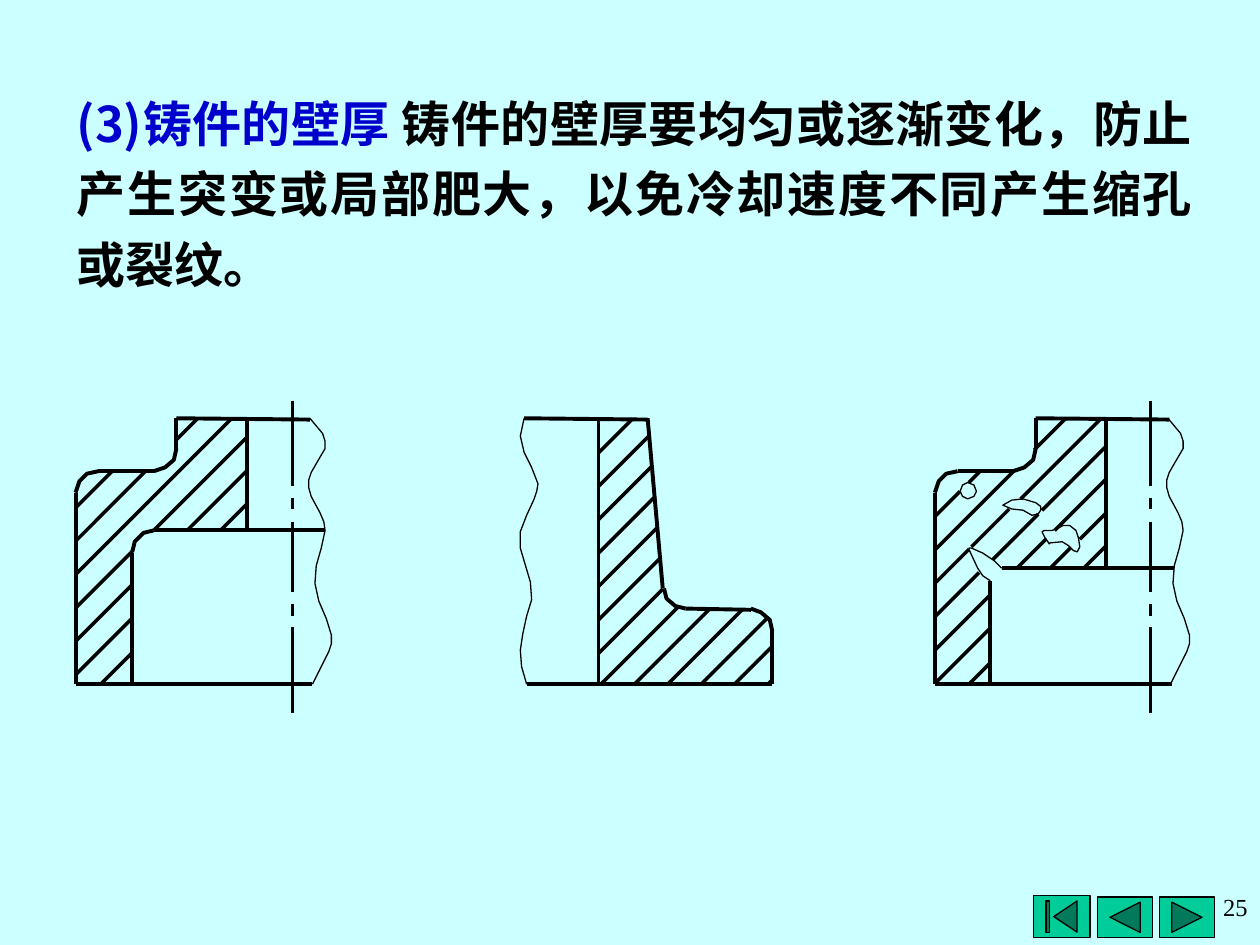
from lxml.etree import SubElement
from pptx import Presentation
from pptx.dml.color import RGBColor
from pptx.enum.shapes import MSO_CONNECTOR as Connector, MSO_SHAPE as Shape
from pptx.enum.text import PP_ALIGN as Align
from pptx.oxml.ns import qn
from pptx.util import Inches, Pt

BLACK = "000000"
BLUE = "0000CC"
CJK = "Noto Sans CJK SC"
LATIN = "Times New Roman"
THICK, THIN = 2.25, 0
PITCH = 0.265
BOTTOM = 5.43
RIGHT_SHIFT = 6.82
AXIS_SHIFT = 6.81


def color(value):
    return RGBColor.from_string(value)


class Drawing:
    def __init__(self, page):
        self.page = page
        self.shapes = page.shapes

    def background(self, fill):
        self.page.background.fill.solid()
        self.page.background.fill.fore_color.rgb = color(fill)

    def button(self, kind, left, top, width, height):
        shape = self.shapes.add_shape(
            kind, Inches(left), Inches(top), Inches(width), Inches(height))
        shape.shadow.inherit = False
        shape.fill.solid()
        shape.fill.fore_color.rgb = color("00CC99")
        self.stroke(shape, 0.75)

    def stroke(self, shape, weight):
        shape.line.color.rgb = color(BLACK)
        shape.line.width = Pt(weight)

    def line(self, x1, y1, x2, y2, weight=THICK, shift=0):
        connector = self.shapes.add_connector(
            Connector.STRAIGHT, Inches(x1 + shift), Inches(y1),
            Inches(x2 + shift), Inches(y2))
        self.stroke(connector, weight)
        SubElement(connector._element.spPr, qn("a:effectLst"))

    def hatch(self, x, y, run):
        self.line(x, y, x + run, y - run, THIN)

    def curve(self, points, weight=THIN, shift=0, close=False):
        corners = [(Inches(x + shift), Inches(y)) for x, y in points]
        builder = self.shapes.build_freeform(*corners[0])
        builder.add_line_segments(corners[1:], close=close)
        shape = builder.convert_to_shape()
        shape.shadow.inherit = False
        shape.fill.background()
        self.stroke(shape, weight)

    def text(self, left, top, width, height, runs, size, align, bold=False, pitch=None):
        box = self.shapes.add_textbox(
            Inches(left), Inches(top), Inches(width), Inches(height))
        box.text_frame.word_wrap = True
        para = box.text_frame.paragraphs[0]
        para.alignment = align
        if pitch:
            para.line_spacing = Pt(pitch)
        for words, font, ink in runs:
            span = para.add_run()
            span.text = words
            span.font.size = Pt(size)
            span.font.bold = bold
            span.font.name = font
            span.font.color.rgb = color(ink)
            SubElement(span.font._element, qn("a:ea"), typeface=CJK)


def draw_stepped_outline(drawing, shift, axis_shift):
    for ends in [(1.4, 3.32, 1.4, 3.56), (0.6, 3.91, 0.6, BOTTOM),
                 (0.78, 3.74, 1.22, 3.74), (1.4, 3.32, 2.46, 3.33),
                 (0.6, BOTTOM, 2.48, BOTTOM)]:
        drawing.line(*ends, shift=shift)
    for arc in [[(0.78, 3.74), (0.69, 3.76), (0.63, 3.82), (0.6, 3.91)],
                [(1.22, 3.74), (1.31, 3.71), (1.38, 3.65), (1.4, 3.56)]]:
        drawing.curve(arc, THICK, shift)
    for top, bottom in [(3.18, 3.86), (3.95, 4.04), (4.14, 4.7),
                        (4.79, 4.89), (4.98, 5.66)]:
        drawing.line(2.32, top, 2.32, bottom, THIN, axis_shift)
    break_edge = [
        (2.46, 3.32), (2.56, 3.44), (2.58, 3.5), (2.58, 3.56), (2.51, 3.68),
        (2.47, 3.75), (2.45, 3.81), (2.45, 3.87), (2.47, 3.94), (2.54, 4.07),
        (2.57, 4.14), (2.58, 4.21), (2.55, 4.35), (2.51, 4.49), (2.5, 4.63),
        (2.53, 4.77), (2.59, 4.91), (2.63, 5.04), (2.63, 5.11), (2.61, 5.17),
        (2.48, BOTTOM)]
    drawing.curve(break_edge, shift=axis_shift)


def draw_even_wall(drawing):
    draw_stepped_outline(drawing, 0, 0)
    drawing.line(1.96, 3.32, 1.96, 4.21)
    drawing.line(1.05, 4.39, 1.05, BOTTOM)
    drawing.line(1.22, 4.21, 2.58, 4.21)
    drawing.curve([(1.22, 4.21), (1.14, 4.23), (1.07, 4.3), (1.05, 4.38)], THICK)
    for row, run in enumerate([0.29, 0.56, 1.23, 0.45, 0.45, 0.45]):
        drawing.hatch(0.6, 4.03 + row * PITCH, run)
    for column, run in enumerate([0.74, 0.48, 0.22]):
        drawing.hatch(1.22 + column * PITCH, 4.21, run)
    drawing.hatch(1.4, 3.49, 0.17)
    drawing.hatch(0.8, BOTTOM, 0.25)


def draw_tapered_wall(drawing):
    for ends in [(4.18, BOTTOM, 6.13, BOTTOM), (5.44, 4.83, 5.96, 4.84),
                 (4.16, 3.32, 5.14, 3.33), (4.75, 3.32, 4.75, BOTTOM),
                 (5.14, 3.32, 5.26, 4.67), (6.13, 5.01, 6.13, BOTTOM)]:
        drawing.line(*ends)
    for arc in [[(5.27, 4.67), (5.29, 4.75), (5.36, 4.81), (5.44, 4.83)],
                [(6.13, 5.01), (6.11, 4.92), (6.04, 4.86), (5.96, 4.83)]]:
        drawing.curve(arc, THICK)
    for row, run in enumerate([0.01, 0.27, 0.4, 0.42, 0.45, 0.47, 0.49, 0.51]):
        drawing.hatch(4.75, 3.33 + row * PITCH, run)
    for column, run in enumerate([0.61, 0.6, 0.59, 0.52, 0.3, 0.03]):
        drawing.hatch(4.77 + column * PITCH, BOTTOM, run)
    drawing.curve([
        (4.16, 3.32), (4.13, 3.46), (4.16, 3.59), (4.22, 3.71), (4.27, 3.84),
        (4.26, 3.9), (4.24, 3.96), (4.18, 4.09), (4.13, 4.22), (4.13, 4.35),
        (4.21, 4.62), (4.22, 4.76), (4.18, 4.89), (4.15, 5.03), (4.13, 5.16),
        (4.14, 5.29), (4.18, BOTTOM)])


def draw_defective_wall(drawing):
    draw_stepped_outline(drawing, RIGHT_SHIFT, AXIS_SHIFT)
    drawing.line(8.78, 3.32, 8.78, 4.5)
    drawing.line(7.86, 4.61, 7.86, BOTTOM)
    drawing.line(7.95, 4.51, 9.32, 4.51)
    for row, run in enumerate([0.2, 0.63, 0.27, 0.35, 0.44, 0.44]):
        drawing.hatch(7.42, 4.1 + row * PITCH, run)
    for column, run in enumerate([0.22, 0.15, 0.17]):
        drawing.hatch(8.08 + column * PITCH, 4.5, run)
    for x, y, run in [(7.69, 3.83, 0.09), (8.21, 3.57, 0.25), (8.1, 3.96, 0.63),
                      (7.71, 4.34, 0.3), (8.27, 4.05, 0.51), (7.88, 4.44, 0.36),
                      (8.37, 4.21, 0.41), (8.57, 4.28, 0.21), (7.69, BOTTOM, 0.17)]:
        drawing.hatch(x, y, run)
    round_pore = [(7.75, 3.9), (7.73, 3.85), (7.68, 3.83), (7.64, 3.85),
                  (7.62, 3.9), (7.64, 3.94), (7.68, 3.96), (7.73, 3.94)]
    long_pore = [(7.96, 4.01), (8.03, 3.97), (8.12, 3.96), (8.22, 3.99),
                 (8.26, 4.02), (8.26, 4.05), (8.24, 4.08), (8.19, 4.09),
                 (8.12, 4.05), (8.03, 4.04)]
    for pore in (round_pore, long_pore):
        drawing.curve(pore, close=True)
    bent_pore = [(8.32, 4.31), (8.43, 4.3), (8.48, 4.33), (8.52, 4.37),
                 (8.55, 4.38), (8.57, 4.34), (8.56, 4.27), (8.54, 4.21),
                 (8.49, 4.17), (8.44, 4.17), (8.4, 4.19), (8.35, 4.21),
                 (8.29, 4.21), (8.27, 4.22), (8.29, 4.26), (8.33, 4.32)]
    crack = [(7.86, 4.61), (7.8, 4.57), (7.76, 4.51), (7.69, 4.36), (7.69, 4.35),
             (7.71, 4.35), (7.8, 4.39), (7.89, 4.45), (7.95, 4.51)]
    for defect in (bent_pore, crack):
        drawing.curve(defect)


def main():
    deck = Presentation()
    deck.slide_width, deck.slide_height = Inches(10), Inches(7.5)
    drawing = Drawing(deck.slides.add_slide(deck.slide_layouts[6]))
    drawing.background("CCFFFF")
    drawing.button(Shape.ACTION_BUTTON_FORWARD_OR_NEXT, 9.2, 7.12, 0.44, 0.32)
    drawing.button(Shape.ACTION_BUTTON_BACK_OR_PREVIOUS, 8.71, 7.12, 0.44, 0.32)
    drawing.button(Shape.ACTION_BUTTON_BEGINNING, 8.2, 7.11, 0.45, 0.33)
    drawing.text(0.51, 0.6, 9.05, 1.78, [
        ("(3)", CJK, BLUE),
        ("铸件的壁厚 ", LATIN, BLUE),
        ("铸件的壁厚要均匀或逐渐变化，防止产生突变或局部肥大，"
         "以免冷却速度不同产生缩孔或裂纹。", LATIN, BLACK),
    ], 28, Align.JUSTIFY, bold=True, pitch=40.3)
    draw_even_wall(drawing)
    draw_tapered_wall(drawing)
    draw_defective_wall(drawing)
    drawing.text(7.48, 7.03, 2.52, 0.61, [("25", LATIN, BLACK)], 14, Align.RIGHT)
    deck.save("out.pptx")


if __name__ == "__main__":
    main()
